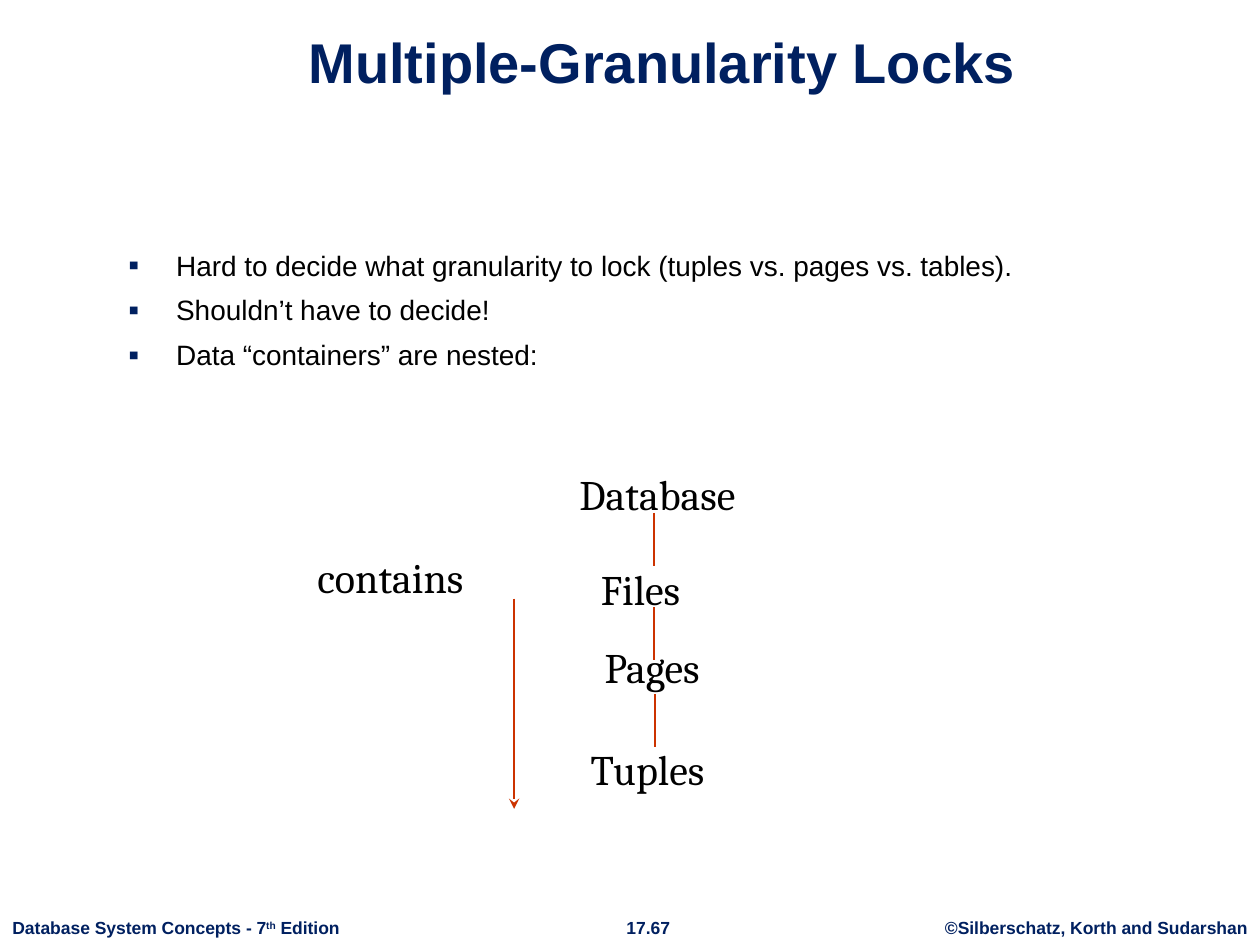
from dataclasses import dataclass

from lxml import etree
from pptx import Presentation
from pptx.dml.color import RGBColor
from pptx.enum.shapes import MSO_CONNECTOR
from pptx.enum.text import MSO_ANCHOR, PP_ALIGN
from pptx.oxml.ns import qn
from pptx.util import Inches, Pt

STRAIGHT = MSO_CONNECTOR.STRAIGHT
LEFT, CENTER = PP_ALIGN.LEFT, PP_ALIGN.CENTER
TOP, BOTTOM = MSO_ANCHOR.TOP, MSO_ANCHOR.BOTTOM


@dataclass(frozen=True)
class Theme:
    navy: RGBColor = RGBColor(0x00, 0x20, 0x60)
    black: RGBColor = RGBColor(0x00, 0x00, 0x00)
    red: RGBColor = RGBColor(0xCC, 0x33, 0x00)
    sans: str = "Arial"
    serif: str = "Cambria"
    title_size: int = 32
    label_size: int = 24
    body_size: int = 16
    footer_size: int = 10
    bullet_gap: float = 6.4
    line_width: int = 1


THEME = Theme()

BULLETS = [
    "Hard to decide what granularity to lock (tuples vs. pages vs. tables).",
    "Shouldn’t have to decide!",
    "Data “containers” are nested:",
]

# text, left, top, width
LABELS = [
    ("Database", 4.5, 3.67, 1.55),
    ("Files", 4.67, 4.42, 0.88),
    ("Pages", 4.7, 5.04, 1.06),
    ("Tuples", 4.59, 5.85, 1.2),
    ("contains", 2.42, 4.33, 1.43),
]
LABEL_HEIGHT = 0.5

# x, top of each link between neighbouring levels
LINKS = [(5.19, 4.07), (5.19, 4.82), (5.2, 5.51)]
LINK_LENGTH = 0.42


def add_box(page, left, top, width, height, wrap=True, anchor=TOP):
    box = page.shapes.add_textbox(
        Inches(left), Inches(top), Inches(width), Inches(height))
    box.text_frame.word_wrap = wrap
    box.text_frame.vertical_anchor = anchor
    return box.text_frame


def style(para, size, color, name=THEME.sans, bold=False, align=LEFT):
    para.alignment = align
    para.font.size = Pt(size)
    para.font.color.rgb = color
    para.font.name = name
    para.font.bold = bold


def add_title(page, text):
    para = add_box(page, 0.84, 0.13, 8.83, 0.67, anchor=BOTTOM).paragraphs[0]
    para.text = text
    style(para, THEME.title_size, THEME.navy, bold=True, align=CENTER)


def set_bullet(para):
    """Give the paragraph a hanging navy square."""
    props = para._p.get_or_add_pPr()
    indent = Inches(0.38)
    props.set("marL", str(indent))
    props.set("indent", str(-indent))
    color = etree.Element(qn("a:buClr"))
    etree.SubElement(color, qn("a:srgbClr"), val=str(THEME.navy))
    size = etree.Element(qn("a:buSzPct"), val="110000")
    font = etree.Element(qn("a:buFont"), typeface=THEME.sans)
    mark = etree.Element(qn("a:buChar"), char="▪")
    default_font = props.find(qn("a:defRPr"))
    for part in (color, size, font, mark):
        default_font.addprevious(part)


def add_bullets(page, lines):
    frame = add_box(page, 0.92, 1.92, 8.5, 4.46)
    for index, line in enumerate(lines):
        para = frame.add_paragraph() if index else frame.paragraphs[0]
        para.text = line
        para.space_before = Pt(THEME.bullet_gap if index else 0)
        style(para, THEME.body_size, THEME.black)
        set_bullet(para)


def add_label(page, text, left, top, width):
    frame = add_box(page, left, top, width, LABEL_HEIGHT, wrap=False)
    para = frame.paragraphs[0]
    para.text = text
    style(para, THEME.label_size, THEME.black, THEME.serif)


def add_vertical_line(page, x, top, bottom, arrow=False):
    line = page.shapes.add_connector(
        STRAIGHT, Inches(x), Inches(top), Inches(x), Inches(bottom))
    line.line.color.rgb = THEME.red
    line.line.width = Pt(THEME.line_width)
    if arrow:
        etree.SubElement(line.line._get_or_add_ln(), qn("a:tailEnd"),
                         type="stealth")
    etree.SubElement(line._element.spPr, qn("a:effectLst"))


def add_footer(page, left, width, spans, align=CENTER):
    """Write (text, is_superscript) spans along the bottom edge."""
    para = add_box(page, left, 7.23, width, 0.27, wrap=False).paragraphs[0]
    for text, superscript in spans:
        span = para.add_run()
        span.text = text
        if superscript:
            span.font._element.set("baseline", "30000")
    style(para, THEME.footer_size, THEME.navy, bold=True, align=align)


def main():
    deck = Presentation()
    deck.slide_width, deck.slide_height = Inches(10), Inches(7.5)
    page = deck.slides.add_slide(deck.slide_layouts[6])

    add_footer(page, 7.4, 2.6, [("©Silberschatz, Korth and Sudarshan", False)])
    add_footer(page, 4.86, 0.57, [("17.67", False)])
    add_footer(page, 0, 2.81, [("Database System Concepts - 7", False),
                               ("th", True), (" Edition", False)], LEFT)
    add_title(page, "Multiple-Granularity Locks")
    add_bullets(page, BULLETS)
    for label in LABELS:
        add_label(page, *label)
    for x, top in LINKS:
        add_vertical_line(page, x, top, top + LINK_LENGTH)
    add_vertical_line(page, 4.08, 4.75, 6.42, arrow=True)

    deck.save("out.pptx")


if __name__ == "__main__":
    main()
